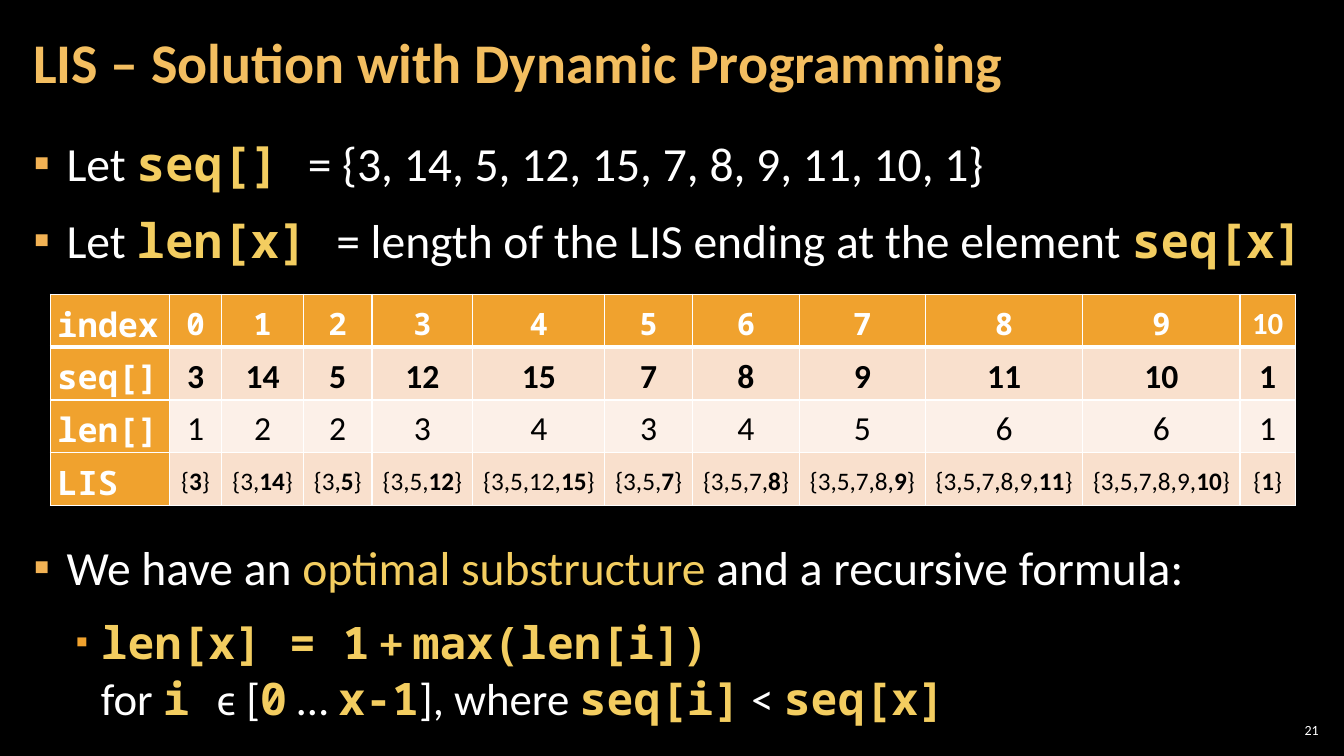
from pptx import Presentation
from pptx.dml.color import RGBColor
from pptx.enum.text import MSO_ANCHOR, MSO_AUTO_SIZE, PP_ALIGN
from pptx.oxml.ns import qn
from pptx.util import Inches, Pt
from lxml.etree import SubElement, Element

BLACK = RGBColor(0x00, 0x00, 0x00)
WHITE = RGBColor(0xFF, 0xFF, 0xFF)
TITLE_GOLD = RGBColor(0xF3, 0xBE, 0x60)
CODE_GOLD = RGBColor(0xF3, 0xCD, 0x60)
BULLET_GOLD = RGBColor(0xF2, 0xB2, 0x54)
ORANGE = RGBColor(0xF0, 0xA2, 0x2E)
PEACH = RGBColor(0xF9, 0xE0, 0xCD)
PALE = RGBColor(0xFC, 0xF0, 0xE8)

SANS, MONO = "Calibri", "Noto Sans Mono"
TEXT = dict(name=SANS, color=WHITE, bold=False)
MARK = dict(name=SANS, color=CODE_GOLD, bold=False)
CODE = dict(name=MONO, color=CODE_GOLD, bold=True)
CODE_SANS = dict(name=SANS, color=CODE_GOLD, bold=True)
HEAD = dict(name=MONO, color=WHITE, bold=True)
CELL = dict(name=SANS, color=BLACK, bold=False)
CELL_BOLD = dict(CELL, bold=True)


class SlideBuilder:
    """Holds the style and the current slide."""

    def __init__(self, prs):
        self.s = prs.slides.add_slide(prs.slide_layouts[1])
        fill = self.s.background.fill
        fill.solid()
        fill.fore_color.rgb = BLACK

    def place(self, sp, box, insets, anchor):
        sp.left, sp.top, sp.width, sp.height = (Inches(v) for v in box)
        tf = sp.text_frame
        sides = ("margin_left", "margin_top", "margin_right", "margin_bottom")
        for side, inset in zip(sides, insets):
            setattr(tf, side, Inches(inset))
        tf.word_wrap = True
        tf.auto_size = MSO_AUTO_SIZE.NONE
        tf.vertical_anchor = anchor
        return tf

    def add_runs(self, p, runs, size, **spacing):
        """Fill a paragraph with (text, style) runs; None is a line break."""
        for key, value in spacing.items():
            setattr(p, key, value)
        for run in runs:
            if run is None:
                p.add_line_break()
                continue
            r = p.add_run()
            r.text, style = run
            r.font.size = Pt(size)
            for key, value in style.items():
                if key == "color":
                    r.font.color.rgb = value
                else:
                    setattr(r.font, key, value)

    def title(self, text, box):
        tf = self.place(self.s.shapes.title, box, (0.12, 0.04, 0.12, 0.04), MSO_ANCHOR.MIDDLE)
        style = dict(name=SANS, color=TITLE_GOLD, bold=True)
        self.add_runs(tf.paragraphs[0], [(text, style)], 40, line_spacing=0.9,
                      alignment=PP_ALIGN.LEFT)

    def bullet(self, p, left, hang, color, percent):
        pPr = p._p.get_or_add_pPr()
        pPr.set("marL", str(Inches(left)))
        pPr.set("indent", str(Inches(-hang)))
        SubElement(SubElement(pPr, qn("a:buClr")), qn("a:srgbClr"), val=str(color))
        SubElement(pPr, qn("a:buSzPct"), val=str(percent * 1000))
        SubElement(pPr, qn("a:buChar"), char="▪")

    def body(self, items, box):
        tf = self.place(self.s.placeholders[1], box, (0.12, 0.04, 0.12, 0.04), MSO_ANCHOR.TOP)
        for i, (level, before, runs) in enumerate(items):
            p = tf.paragraphs[0] if i == 0 else tf.add_paragraph()
            p.level = level
            if level:
                self.bullet(p, 0.67, 0.25, ORANGE, 80)
            else:
                self.bullet(p, 0.33, 0.33, BULLET_GOLD, 100)
            self.add_runs(p, runs, 32 if level else 34, line_spacing=1.05,
                          space_before=Pt(before), space_after=Pt(6))

    def page_number(self, text, box):
        sp = self.s.shapes.add_textbox(0, 0, 0, 0)
        tf = self.place(sp, box, (0.04,) * 4, MSO_ANCHOR.MIDDLE)
        self.add_runs(tf.paragraphs[0], [(text, TEXT)], 10, alignment=PP_ALIGN.RIGHT)

    def borders(self, cell, top, bottom):
        tcPr = cell._tc.get_or_add_tcPr()
        widths = {"a:lnL": 1, "a:lnR": 1, "a:lnT": top, "a:lnB": bottom}
        for i, (tag, width) in enumerate(widths.items()):
            ln = Element(qn(tag), w=str(Pt(width)))
            SubElement(SubElement(ln, qn("a:solidFill")), qn("a:srgbClr"), val=str(WHITE))
            tcPr.insert(i, ln)

    def table(self, rows, left, top, widths, heights):
        """Each cell is a (runs, size) pair."""
        frame = self.s.shapes.add_table(len(rows), len(widths), Inches(left), Inches(top),
                                        Inches(sum(widths)), Inches(sum(heights)))
        tbl = frame.table
        for col, width in zip(tbl.columns, widths):
            col.width = Inches(width)
        for i, row in enumerate(rows):
            tbl.rows[i].height = Inches(heights[i])
            for j, (runs, size) in enumerate(row):
                cell = tbl.cell(i, j)
                cell.margin_left = cell.margin_right = Inches(0.07)
                cell.margin_top = cell.margin_bottom = 0
                cell.vertical_anchor = MSO_ANCHOR.MIDDLE
                cell.fill.solid()
                banded = PEACH if i % 2 else PALE
                cell.fill.fore_color.rgb = ORANGE if i == 0 or j == 0 else banded
                self.borders(cell, 3 if i == 1 else 1, 3 if i == 0 else 1)
                self.add_runs(cell.text_frame.paragraphs[0], runs, size, line_spacing=1.15,
                              space_after=Pt(3),
                              alignment=PP_ALIGN.CENTER if j else PP_ALIGN.LEFT)


def longest_chains(seq):
    """Longest increasing subsequence ending at each element."""
    chains = []
    for x in seq:
        best = max((c for c in chains if c[-1] < x), key=len, default=[])
        chains.append(best + [x])
    return chains


def lis_rows(seq):
    rows = [[([(label, HEAD)], 24)] for label in ("index", "seq[]", "len[]", "LIS")]
    for i, chain in enumerate(longest_chains(seq)):
        head = HEAD if i < 10 else dict(HEAD, name=SANS)
        start = "{" + "".join(f"{x}," for x in chain[:-1])
        cells = (
            ([(str(i), head)], 22),
            ([(str(chain[-1]), CELL_BOLD)], 24),
            ([(str(len(chain)), CELL)], 24),
            ([(start, CELL), (str(chain[-1]), CELL_BOLD), ("}", CELL)], 18),
        )
        for row, cell in zip(rows, cells):
            row.append(cell)
    return rows


def main():
    prs = Presentation()
    prs.slide_width, prs.slide_height = Inches(13.33), Inches(7.5)
    slide = SlideBuilder(prs)
    seq = [3, 14, 5, 12, 15, 7, 8, 9, 11, 10, 1]

    # Title and page number
    slide.title("LIS – Solution with Dynamic Programming", (0.21, 0.04, 10.47, 1.21))
    slide.page_number("21", (12.65, 7.14, 0.47, 0.21))

    # Bullets, with room for the table before the third one
    slide.body([
        (0, 0, [("Let ", TEXT), ("seq[] ", CODE),
                ("= {" + ", ".join(map(str, seq)) + "}", TEXT)]),
        (0, 6, [("Let ", TEXT), ("len[x] ", CODE),
                ("= length of the LIS ending at the element ", TEXT), ("seq[x]", CODE)]),
        (0, 185, [("We have an ", TEXT), ("optimal substructure ", MARK),
                  ("and a recursive formula:", TEXT)]),
        (1, 6, [("len[x] = 1", CODE), (" + ", CODE_SANS), ("max(len[i])", CODE), None,
                ("for ", TEXT), ("i ", CODE), ("ϵ [", TEXT), ("0", CODE), (" … ", TEXT),
                ("x-1", CODE), ("], where ", TEXT), ("seq[i]", CODE), (" < ", TEXT),
                ("seq[x]", CODE)]),
    ], (0.21, 1.26, 12.91, 6.09))

    # Table of subsequences
    slide.table(lis_rows(seq), 0.5, 2.92,
                [1.18, 0.52, 0.81, 0.68, 1, 1.31, 0.87, 1.06, 1.25, 1.56, 1.56, 0.55],
                [0.52, 0.52, 0.52, 0.51])

    prs.save("out.pptx")


if __name__ == "__main__":
    main()
